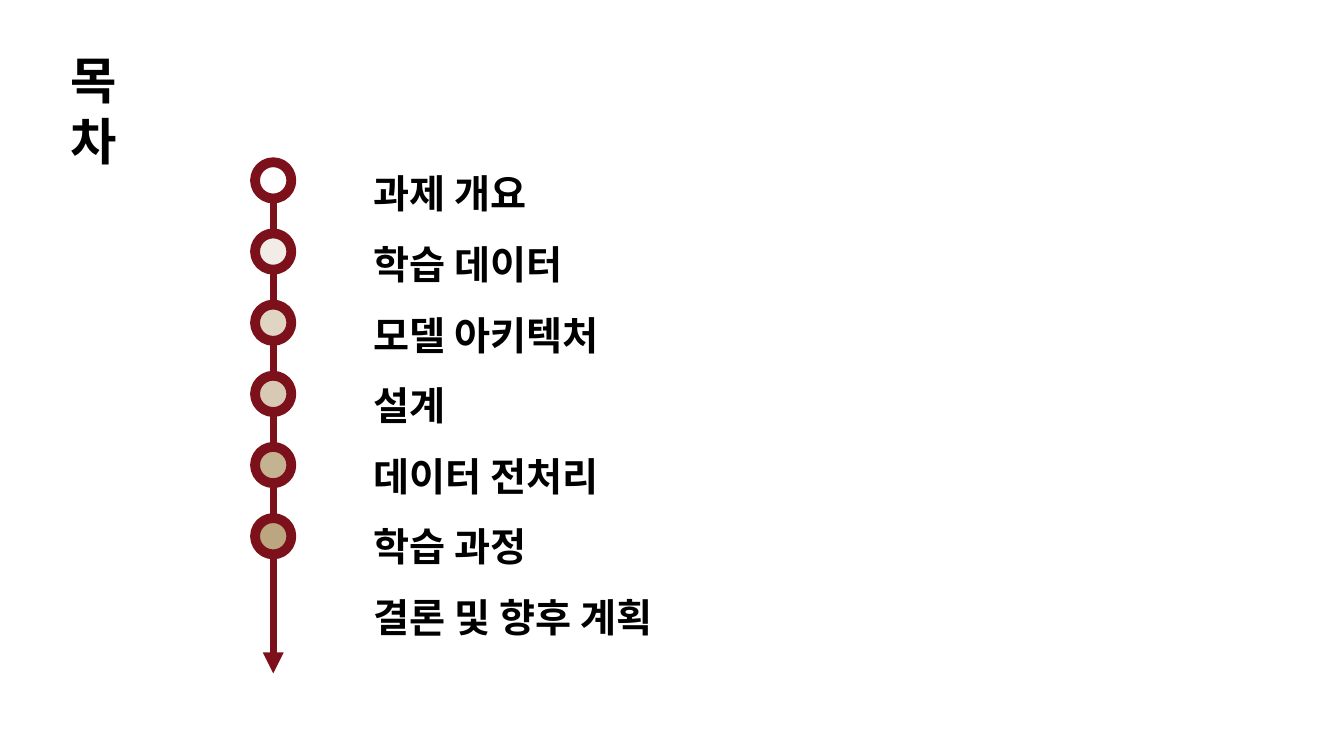
from lxml.etree import SubElement as Sub
from pptx import Presentation
from pptx.dml.color import RGBColor as RGB
from pptx.enum.shapes import MSO_CONNECTOR as LINK, MSO_SHAPE as SHAPE
from pptx.enum.text import MSO_AUTO_SIZE as FIT
from pptx.oxml.ns import qn
from pptx.util import Inches, Pt

COLORS = {"ink": "000000", "wine": "7C111C"}
FILLS = ["FFFFFF", "F1ECE5", "E0D5C3", "D7C9B3", "C4B391", "BCA67F"]
TOPICS = ["과제 개요", "학습 데이터", "모델 아키텍처 설계",
          "데이터 전처리", "학습 과정", "결론 및 향후 계획"]

# Grid: one axis column, evenly spaced rows of dots
AXIS = 2.71
FIRST, LAST = 1.79, 5.32
STEP = (LAST - FIRST) / (len(FILLS) - 1)
DOT = 0.36


def add_text(slide, lines, left, top, width, height, size=28, gap=1.0,
             bold=True, color="ink", font="Arial"):
    box = slide.shapes.add_textbox(*map(Inches, (left, top, width, height)))
    frame = box.text_frame
    frame.word_wrap = True
    frame.auto_size = FIT.SHAPE_TO_FIT_TEXT
    for i, line in enumerate(lines):
        para = frame.paragraphs[0] if i == 0 else frame.add_paragraph()
        para.line_spacing = gap
        run = para.add_run()
        run.text = line
        run.font.name = font
        run.font.size = Pt(size)
        run.font.bold = bold
        run.font.color.rgb = RGB.from_string(COLORS[color])


def add_arrow(slide, x, top, end):
    line = slide.shapes.add_connector(
        LINK.STRAIGHT, Inches(x), Inches(top), Inches(x), Inches(end))
    line.line.color.rgb = RGB.from_string(COLORS["wine"])
    line.line.width = Pt(5)
    Sub(line.line._get_or_add_ln(), qn("a:tailEnd"), type="triangle")
    Sub(line._element.spPr, qn("a:effectLst"))


def add_dot(slide, x, y, fill):
    dot = slide.shapes.add_shape(
        SHAPE.OVAL, Inches(x - DOT / 2), Inches(y - DOT / 2),
        Inches(DOT), Inches(DOT))
    dot.shadow.inherit = False
    dot.fill.solid()
    dot.fill.fore_color.rgb = RGB.from_string(fill)
    dot.line.color.rgb = RGB.from_string(COLORS["wine"])
    dot.line.width = Pt(7)


def main():
    deck = Presentation()
    deck.slide_width, deck.slide_height = Inches(13.33), Inches(7.5)
    slide = deck.slides.add_slide(deck.slide_layouts[6])

    # Timeline arrow
    add_arrow(slide, AXIS, FIRST + DOT / 2, 6.68)

    # Title and topics
    add_text(slide, ["목차"], 0.6, 0.44, 1.09, 0.71, size=36)
    add_text(slide, TOPICS, 3.61, 1.4, 3.19, 4.28, gap=1.5)

    # Dots on the timeline
    for row, fill in enumerate(FILLS):
        add_dot(slide, AXIS, FIRST + row * STEP, fill)

    deck.save("out.pptx")


if __name__ == "__main__":
    main()
